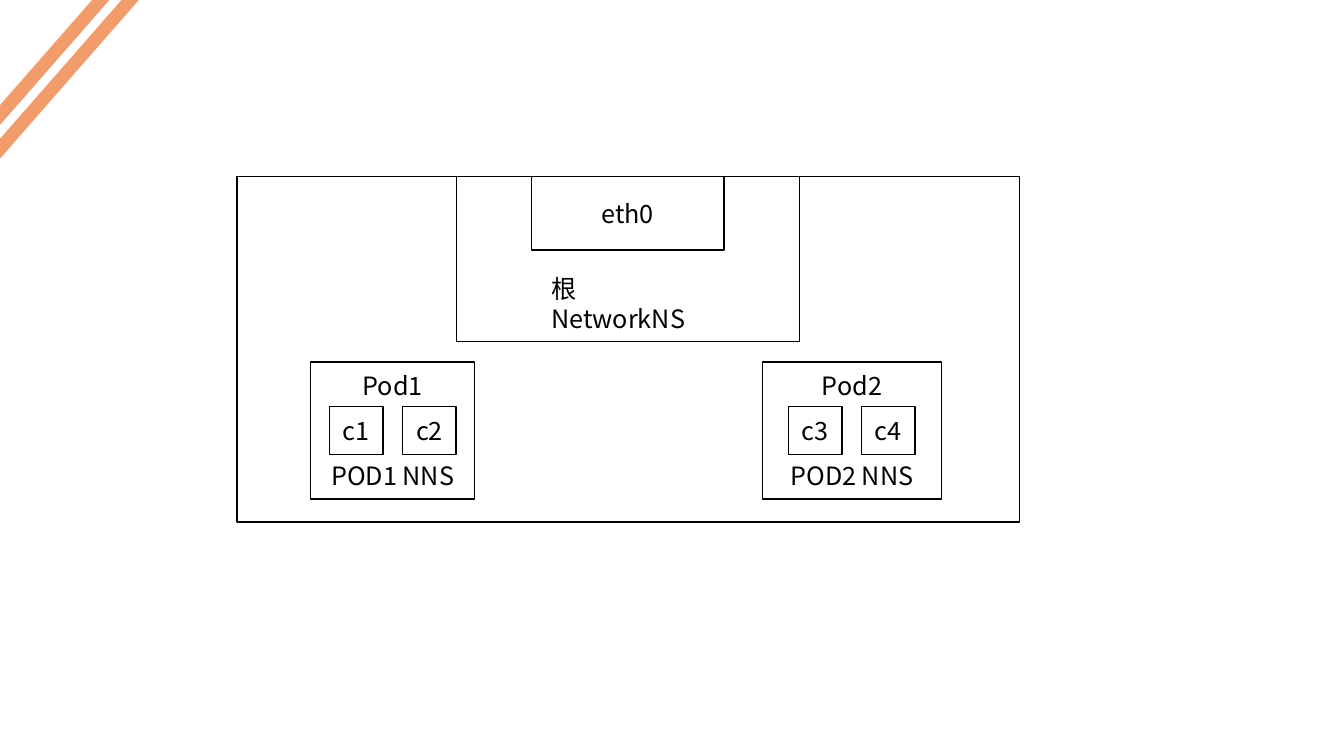
from dataclasses import dataclass

from lxml.etree import SubElement
from pptx import Presentation
from pptx.dml.color import RGBColor
from pptx.enum.shapes import MSO_SHAPE
from pptx.enum.text import MSO_ANCHOR, PP_ALIGN
from pptx.oxml.ns import qn
from pptx.util import Inches, Pt


@dataclass(frozen=True)
class Theme:
    ink: RGBColor = RGBColor(0x00, 0x00, 0x00)
    paper: RGBColor = RGBColor(0xFF, 0xFF, 0xFF)
    accent: RGBColor = RGBColor(0xED, 0x6A, 0x23)
    accent_alpha: int = 67
    font: str = "Noto Sans CJK SC"
    size: Pt = Pt(18)
    leading: Pt = Pt(21.5)
    line: Pt = Pt(1)


THEME = Theme()


def format_paragraph(p, align):
    p.alignment = align
    p.line_spacing = THEME.leading
    p.font.size = THEME.size
    p.font.color.rgb = THEME.ink
    p.font.name = THEME.font
    # East Asian typeface for the Chinese text
    latin = p.font._element.find(qn("a:latin"))
    ea = SubElement(latin.getparent(), qn("a:ea"))
    ea.set("typeface", THEME.font)


def add_rect(s, left, top, width, height, fill):
    sp = s.shapes.add_shape(MSO_SHAPE.RECTANGLE, Inches(left), Inches(top),
                            Inches(width), Inches(height))
    sp.shadow.inherit = False
    sp.fill.solid()
    sp.fill.fore_color.rgb = fill
    return sp


def add_box(s, left, top, width, height, lines=(), gap=Pt(0)):
    """Outlined box with centred lines, set apart by gap."""
    sp = add_rect(s, left, top, width, height, THEME.paper)
    sp.line.color.rgb = THEME.ink
    sp.line.width = THEME.line
    tf = sp.text_frame
    tf.vertical_anchor = MSO_ANCHOR.MIDDLE
    for i, line in enumerate(lines):
        p = tf.add_paragraph() if i else tf.paragraphs[0]
        p.text = line
        format_paragraph(p, PP_ALIGN.CENTER)
        if i:
            p.space_before = gap
    return sp


def add_label(s, left, top, width, height, text):
    tf = s.shapes.add_textbox(Inches(left), Inches(top),
                              Inches(width), Inches(height)).text_frame
    tf.word_wrap = True
    p = tf.paragraphs[0]
    p.text = text
    format_paragraph(p, PP_ALIGN.LEFT)


def add_pod(s, number, left, width, first_container):
    """Pod box with its two containers between name and namespace."""
    add_box(s, left, 3.59, width, 1.36,
            [f"Pod{number}", f"POD{number} NNS"], gap=2 * THEME.leading)
    for i in range(2):
        add_box(s, first_container + 0.725 * i, 4.03, 0.53, 0.48,
                [f"c{2 * number - 1 + i}"])


def add_stripe(s, left, top):
    sp = add_rect(s, left, top, 2.32, 0.13, THEME.accent)
    sp.rotation = 311.2
    sp.line.fill.background()
    color = sp._element.spPr.find(qn("a:solidFill"))[0]
    SubElement(color, qn("a:alpha")).set("val", str(THEME.accent_alpha * 1000))


def main():
    prs = Presentation()
    prs.slide_width, prs.slide_height = Inches(13.33), Inches(7.5)
    s = prs.slides.add_slide(prs.slide_layouts[6])

    # Node with the root network namespace
    add_box(s, 2.35, 1.75, 7.76, 3.43)
    add_box(s, 4.53, 1.75, 3.4, 1.64)
    add_box(s, 5.27, 1.75, 1.91, 0.73, ["eth0"])
    add_label(s, 5.37, 2.66, 1.71, 0.4, "根NetworkNS")

    # Pods
    add_pod(s, 1, 3.08, 1.63, 3.27)
    add_pod(s, 2, 7.56, 1.78, 7.82)

    # Corner stripes
    add_stripe(s, -0.52, 0.68)
    add_stripe(s, -0.69, 0.54)

    prs.save("out.pptx")


if __name__ == "__main__":
    main()
